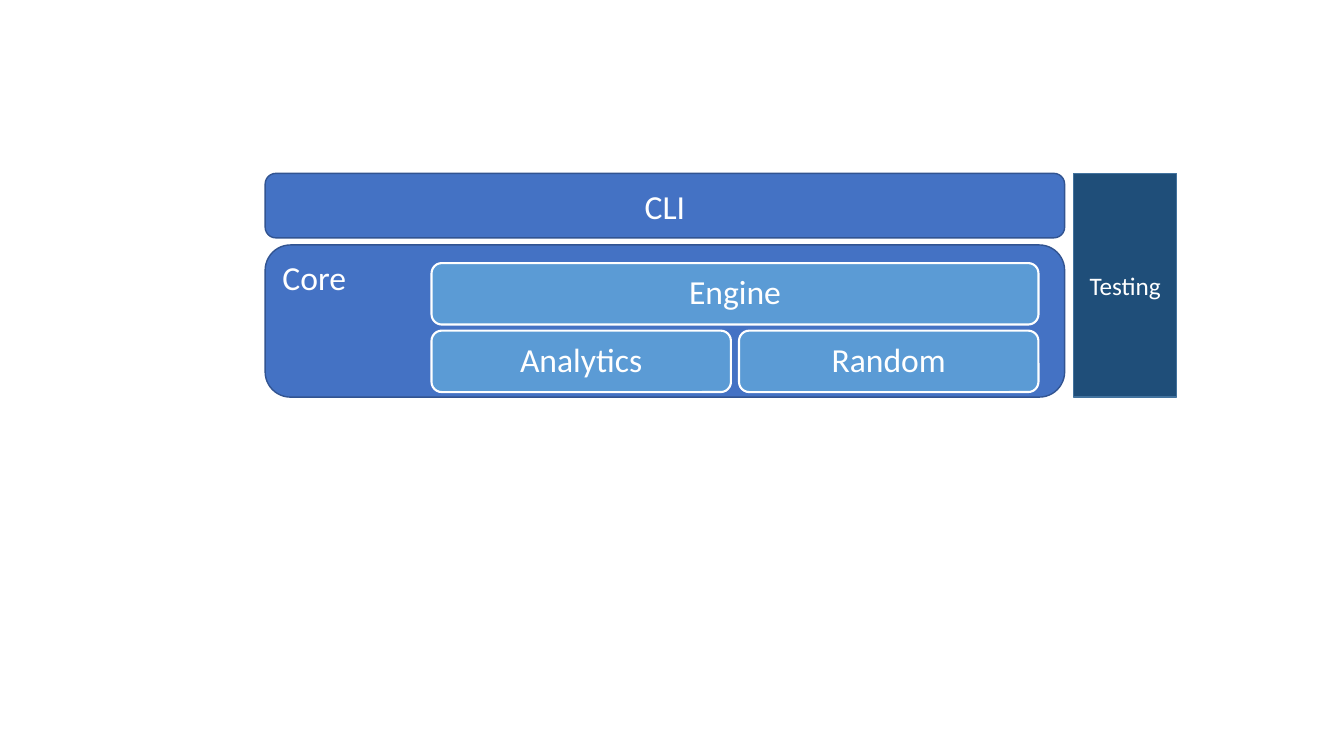
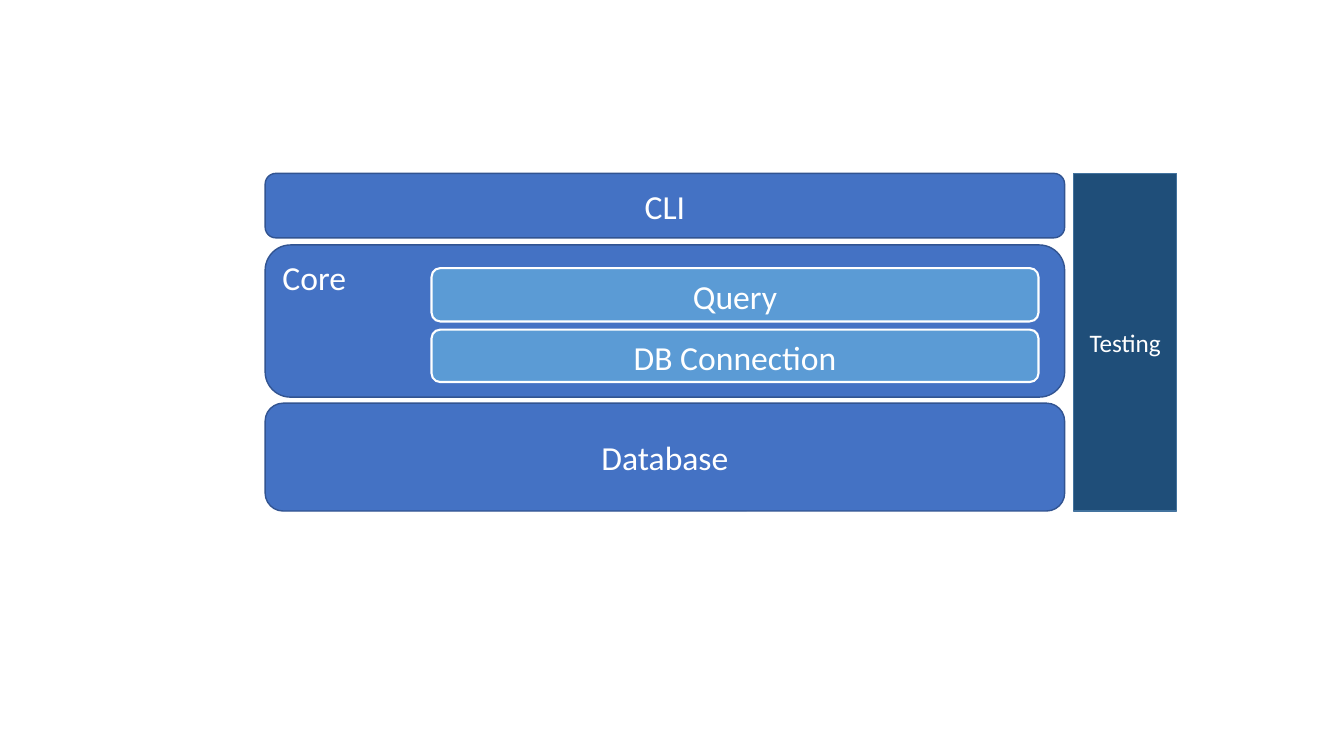
"""Build two slides showing layered architecture diagrams."""
from dataclasses import dataclass

from pptx import Presentation
from pptx.dml.color import RGBColor
from pptx.enum.shapes import MSO_SHAPE
from pptx.enum.text import MSO_ANCHOR, PP_ALIGN
from pptx.slide import Slide
from pptx.util import Inches, Pt

ROUNDED, RECTANGLE = MSO_SHAPE.ROUNDED_RECTANGLE, MSO_SHAPE.RECTANGLE
TOP, MIDDLE = MSO_ANCHOR.TOP, MSO_ANCHOR.MIDDLE
LEFT, CENTER = PP_ALIGN.LEFT, PP_ALIGN.CENTER

FONT = "Calibri"
WHITE = "FFFFFF"

STACK_LEFT, STACK_TOP, STACK_WIDTH = 2.63, 1.72, 7.93
CORE_TOP, CORE_HEIGHT = 2.43, 1.51
MODULE_LEFT, MODULE_WIDTH, MODULE_GAP = 4.28, 6.02, 0.08
HALF_WIDTH = (MODULE_WIDTH - MODULE_GAP) / 2
TESTING_LEFT, TESTING_WIDTH = 10.65, 1.02


@dataclass(frozen=True)
class Style:
    """Look of one kind of block."""
    fill: str
    line: str
    line_width: float = 1
    size: int = 24
    shape: MSO_SHAPE = ROUNDED
    anchor: MSO_ANCHOR = MIDDLE
    align: PP_ALIGN = CENTER


LAYER = Style("4472C4", "325491")
CORE = Style("4472C4", "325491", anchor=TOP, align=LEFT)
MODULE = Style("5B9BD5", WHITE, line_width=1.5, anchor=TOP)
TESTING = Style("1F4E79", "43739E", size=18, shape=RECTANGLE)


@dataclass(frozen=True)
class Block:
    """A labelled block, with its place in inches."""
    label: str
    left: float
    top: float
    width: float
    height: float
    style: Style


def color(value: str) -> RGBColor:
    """Turn a hex string into a colour."""
    return RGBColor.from_string(value)


def layer(label: str, top: float, height: float, style: Style = LAYER) -> Block:
    """Describe a layer across the whole stack."""
    return Block(label, STACK_LEFT, top, STACK_WIDTH, height, style)


def module(label: str, top: float, height: float, width: float = MODULE_WIDTH,
           column: int = 0) -> Block:
    """Describe a module inside the core layer."""
    left = MODULE_LEFT + column * (width + MODULE_GAP)
    return Block(label, left, top, width, height, MODULE)


def draw_block(page: Slide, block: Block) -> None:
    """Draw one block with its label."""
    style = block.style
    box = page.shapes.add_shape(style.shape, Inches(block.left), Inches(block.top),
                                Inches(block.width), Inches(block.height))
    box.shadow.inherit = False
    box.fill.solid()
    box.fill.fore_color.rgb = color(style.fill)
    box.line.color.rgb = color(style.line)
    box.line.width = Pt(style.line_width)
    frame = box.text_frame
    frame.text = block.label
    frame.word_wrap = True
    frame.vertical_anchor = style.anchor
    para = frame.paragraphs[0]
    para.alignment = style.align
    font = para.runs[0].font
    font.name = FONT
    font.size = Pt(style.size)
    font.color.rgb = color(WHITE)


def draw_stack(page: Slide, height: float, extras: list[Block]) -> None:
    """Draw the shared blocks, then those of this slide."""
    shared = [
        Block("Testing", TESTING_LEFT, STACK_TOP, TESTING_WIDTH, height, TESTING),
        layer("Core", CORE_TOP, CORE_HEIGHT, CORE),
        layer("CLI", STACK_TOP, 0.64),
    ]
    for block in shared + extras:
        draw_block(page, block)


STACKS = [
    (2.22, [
        module("Analytics", 3.28, 0.61, HALF_WIDTH),
        module("Engine", 2.61, 0.61),
        module("Random", 3.28, 0.61, HALF_WIDTH, column=1),
    ]),
    (3.35, [
        layer("Database", 4, 1.07),
        module("Query", 2.66, 0.53),
        module("DB Connection", 3.27, 0.52),
    ]),
]


def main() -> None:
    """Build and save the deck."""
    deck = Presentation()
    deck.slide_width, deck.slide_height = Inches(13.33), Inches(7.5)
    blank = deck.slide_layouts[6]
    for height, extras in STACKS:
        draw_stack(deck.slides.add_slide(blank), height, extras)
    deck.save("out.pptx")


main()
